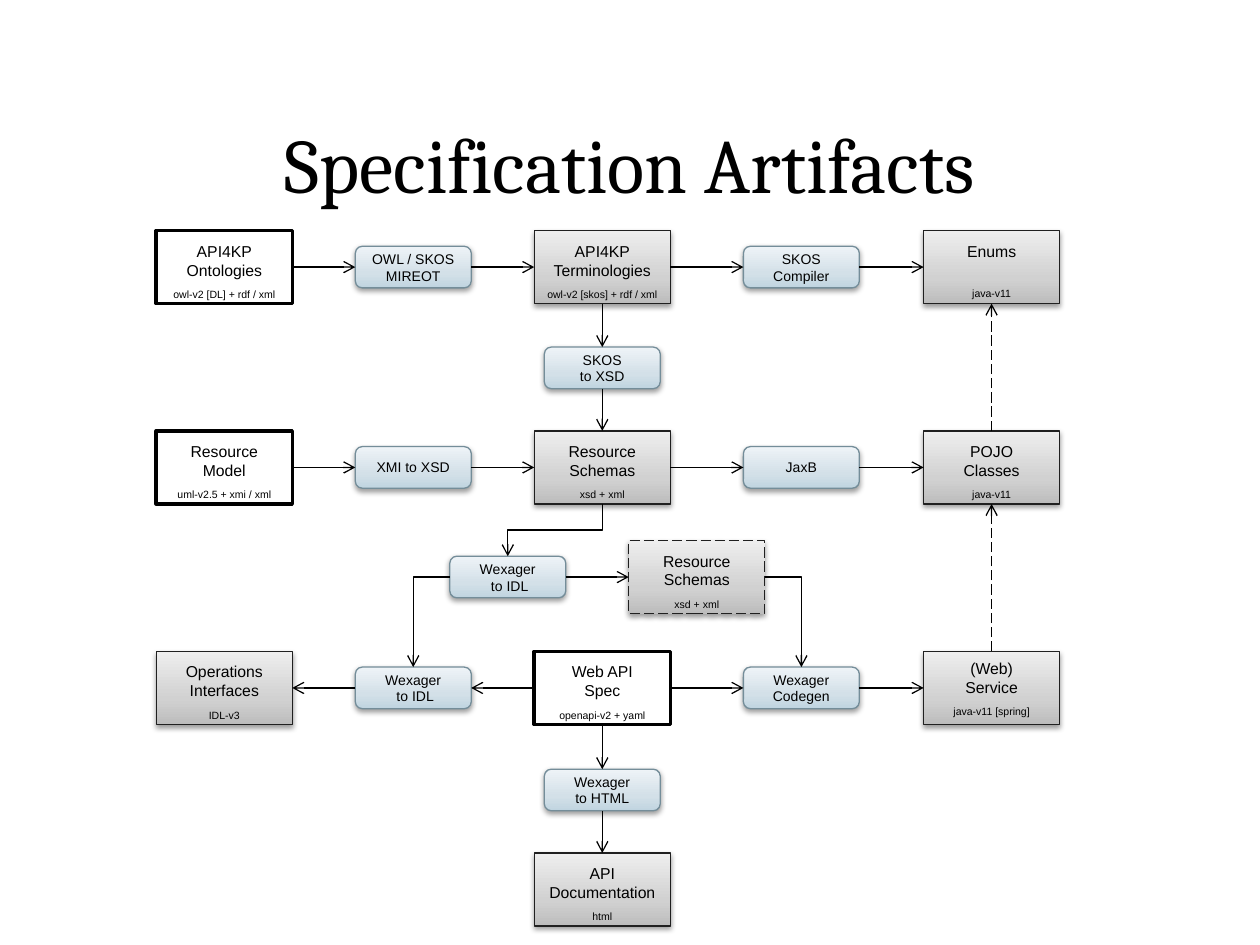
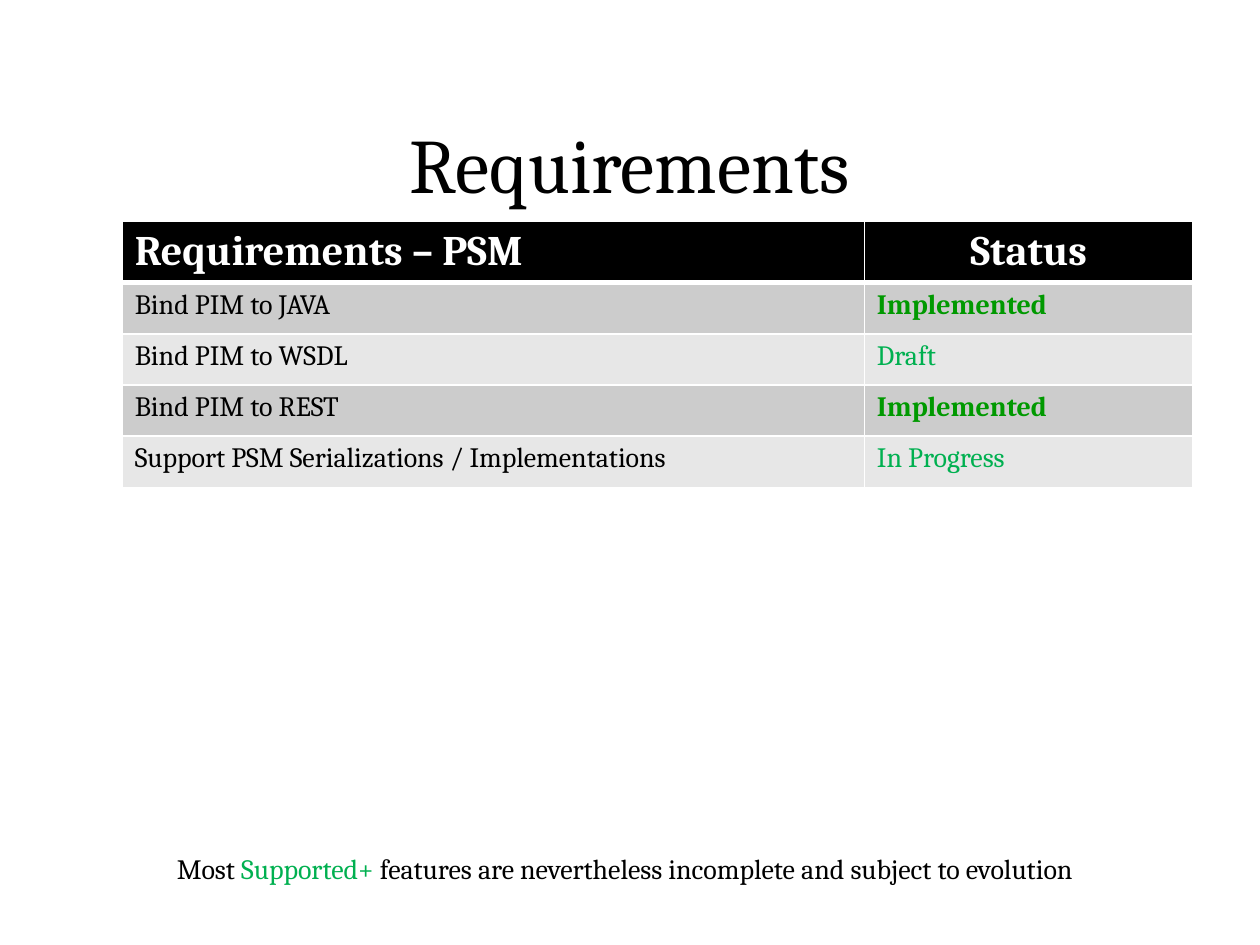
"""Build two slides: the artifact flow chart and the requirements table."""
from copy import deepcopy

from lxml import etree
from pptx import Presentation
from pptx.dml.color import RGBColor
from pptx.enum.dml import MSO_LINE
from pptx.enum.shapes import MSO_CONNECTOR, MSO_SHAPE
from pptx.enum.text import MSO_ANCHOR, PP_ALIGN
from pptx.oxml.ns import qn
from pptx.util import Inches, Pt

RECT, ROUND = MSO_SHAPE.RECTANGLE, MSO_SHAPE.ROUNDED_RECTANGLE
LINE, ELBOW = MSO_CONNECTOR.STRAIGHT, MSO_CONNECTOR.ELBOW
DASH = MSO_LINE.LONG_DASH
LEFT, CENTER = PP_ALIGN.LEFT, PP_ALIGN.CENTER
MIDDLE = MSO_ANCHOR.MIDDLE
TOP, WEST, BASE, EAST = range(4)

HEX = {
    "ink": "000000", "paper": "FFFFFF", "edge": "202020", "rim": "748D99",
    "odd": "CCCCCC", "even": "E7E7E7", "done": "009900", "open": "00B050",
}
GREY = ("BDBDBD", "D1D1D1", "EEEEEE")
BLUE = ("C0D4E0", "D3E0E8", "EEF3F7")
STOPS = (0, 0.35, 1)
SERIF, SANS = "Cambria", "Arial"
COLS = (1.78, 3.28, 4.03, 4.78, 5.53, 6.36, 7.87)
ROWS = (2.12, 2.92, 3.71, 4.58, 5.46, 6.27, 7.06)
BOX, STEP = (1.08, 0.58), (0.92, 0.33)

BOXES = {
    "onto": (0, 0, "source", "API4KP\vOntologies", "owl-v2 [DL] + rdf / xml"),
    "model": (0, 2, "source", "Resource\vModel", "uml-v2.5 + xmi / xml"),
    "terms": (3, 0, "made", "API4KP\vTerminologies", "owl-v2 [skos] + rdf / xml"),
    "schema": (3, 2, "made", "Resource\vSchemas", "xsd + xml"),
    "enums": (6, 0, "made", "Enums", "java-v11"),
    "pojo": (6, 2, "made", "POJO\vClasses", "java-v11"),
    "service": (6, 4, "made", "(Web)\vService", "java-v11 [spring]"),
    "web": (3, 4, "source", "Web API\vSpec", "openapi-v2 + yaml"),
    "ops": (0, 4, "made", "Operations\vInterfaces", "IDL-v3"),
    "copy": (4, 3, "dashed", "Resource\vSchemas", "xsd + xml"),
    "docs": (3, 6, "made", "API\vDocumentation", "html"),
}
STEPS = {
    "skos": (5, 0, "SKOS\vCompiler"),
    "jaxb": (5, 2, "JaxB"),
    "codegen": (5, 4, "Wexager\vCodegen"),
    "mireot": (1, 0, "OWL / SKOS\vMIREOT"),
    "xmi": (1, 2, "XMI to XSD"),
    "idl": (1, 4, "Wexager\v to IDL"),
    "split": (2, 3, "Wexager\v to IDL"),
    "xsd": (3, 1, "SKOS\vto XSD"),
    "html": (3, 5, "Wexager\vto HTML"),
}
CHAINS = (
    (EAST, WEST, "onto mireot terms skos enums"),
    (EAST, WEST, "model xmi schema jaxb pojo"),
    (EAST, WEST, "web codegen service"),
    (EAST, WEST, "split copy"),
    (WEST, EAST, "web idl ops"),
    (BASE, TOP, "terms xsd schema"),
    (BASE, TOP, "web html docs"),
)
TASKS = (
    ("Bind PIM to JAVA", "Implemented"),
    ("Bind PIM to WSDL", "Draft"),
    ("Bind PIM to REST", "Implemented"),
    ("Support PSM Serializations / Implementations", "In Progress"),
)


def rgb(name):
    """Turn a colour name or a hex string into a colour."""
    return RGBColor.from_string(HEX.get(name, name))


def style(font, size, face=SERIF, color="ink", bold=False):
    """Set all the traits of a font."""
    font.size, font.name, font.bold = Pt(size), face, bold
    font.color.rgb = rgb(color)


def add_slide(deck, title):
    """Add a slide with the shared title style."""
    page = deck.slides.add_slide(deck.slide_layouts[5])
    head = page.shapes.title
    head.left, head.top = Inches(0.75), Inches(0.67)
    head.width, head.height = Inches(8.5), Inches(1.25)
    head.text_frame.text = title
    head.text_frame.vertical_anchor = MIDDLE
    line = head.text_frame.paragraphs[0]
    line.alignment = CENTER
    style(line.font, 44)
    return page


def shade(shape, tones):
    """Fill a shape with a three-tone gradient and give it a soft shadow."""
    shape.fill.gradient()
    shape.fill.gradient_angle = 90
    props = shape._element.spPr
    stops = props.find(qn("a:gradFill")).find(qn("a:gsLst"))
    stops.insert(1, deepcopy(stops[0]))
    for stop, tone, place in zip(shape.fill.gradient_stops, tones, STOPS):
        stop.color.rgb = rgb(tone)
        stop.position = place
    cast = etree.SubElement(
        props.find(qn("a:effectLst")), qn("a:outerShdw"), blurRad="40000",
        dist="20000", dir="5400000", rotWithShape="0")
    tint = etree.SubElement(cast, qn("a:srgbClr"), val=HEX["ink"])
    etree.SubElement(tint, qn("a:alpha"), val="38000")


def add_node(page, form, col, row, size, edge, weight):
    """Add an outlined shape centred on a grid point."""
    wide, high = size
    node = page.shapes.add_shape(
        form, Inches(COLS[col] - wide / 2), Inches(ROWS[row] - high / 2),
        Inches(wide), Inches(high))
    node.shadow.inherit = False
    node.line.color.rgb = rgb(edge)
    node.line.width = Pt(weight)
    frame = node.text_frame
    frame.word_wrap, frame.vertical_anchor = True, MIDDLE
    frame.margin_left = frame.margin_right = 0
    frame.margin_top = frame.margin_bottom = 0
    return node


def write(line, text, size):
    """Write a centred sans line."""
    line.text, line.alignment = text, CENTER
    style(line.font, size, SANS)


def add_box(page, col, row, kind, label, note):
    """Add an artifact with its name and format."""
    plain = kind == "source"
    edge, weight = ("ink", 2) if plain else ("edge", 0.75)
    node = add_node(page, RECT, col, row, BOX, edge, weight)
    if plain:
        node.fill.solid()
        node.fill.fore_color.rgb = rgb("paper")
    else:
        shade(node, GREY)
    if kind == "dashed":
        node.line.dash_style = DASH
    frame = node.text_frame
    frame.margin_top = 0 if label.startswith("(") else Inches(0.06)
    write(frame.paragraphs[0], label, 9)
    foot = frame.add_paragraph()
    write(foot, note, 6)
    foot.space_before = Pt(5 if "\v" in label else 15)
    return node


def add_step(page, col, row, label):
    """Add a rounded tool step."""
    node = add_node(page, ROUND, col, row, STEP, "rim", 0.75)
    shade(node, BLUE)
    write(node.text_frame.paragraphs[0], label, 8)
    return node


def add_link(page, kind, ends=(0, 0, 0, 0), dash=None):
    """Add a thin line with an open arrowhead."""
    link = page.shapes.add_connector(kind, *ends)
    link.line.color.rgb = rgb("ink")
    link.line.width = Pt(0.75)
    if dash:
        link.line.dash_style = dash
    props = link._element.spPr
    etree.SubElement(props.find(qn("a:ln")), qn("a:tailEnd"), type="arrow")
    etree.SubElement(props, qn("a:effectLst"))
    return link


def join(page, start, out, end, into, dash=None):
    """Glue a straight arrow between two nodes."""
    link = add_link(page, LINE, dash=dash)
    link.begin_connect(start, out)
    link.end_connect(end, into)


def turn(page, start, out, end):
    """Draw an arrow that leaves sideways and turns down onto a node."""
    left = start.left + (start.width if out == EAST else 0)
    link = add_link(page, ELBOW, (left, start.top + start.height // 2,
                                  end.left + end.width // 2, end.top))
    link._element.spPr.find(qn("a:prstGeom")).set("prst", "bentConnector2")


def drop(page, start, end):
    """Draw an arrow that goes down, left and down again."""
    right, top = start.left + start.width // 2, start.top + start.height
    left, base = end.left + end.width // 2, end.top
    wide, high = base - top, right - left
    x, y = (left + right - wide) // 2, (top + base - high) // 2
    link = add_link(page, ELBOW, (x, y, x + wide, y + high))
    link._element.spPr.find(qn("a:xfrm")).set("rot", "5400000")


def draw_flow(page):
    """Draw all nodes and arrows of the flow chart."""
    nodes = {key: add_box(page, *data) for key, data in BOXES.items()}
    nodes.update({key: add_step(page, *data) for key, data in STEPS.items()})
    for out, into, chain in CHAINS:
        keys = chain.split()
        for one, two in zip(keys, keys[1:]):
            join(page, nodes[one], out, nodes[two], into)
    for one, two in (("pojo", "enums"), ("service", "pojo")):
        join(page, nodes[one], TOP, nodes[two], BASE, DASH)
    drop(page, nodes["schema"], nodes["split"])
    turn(page, nodes["split"], WEST, nodes["idl"])
    turn(page, nodes["copy"], EAST, nodes["codegen"])


def fill_cell(cell, text, back, size, color, bold, align=LEFT):
    """Write and paint one table cell."""
    cell.fill.solid()
    cell.fill.fore_color.rgb = rgb(back)
    cell.text = text
    line = cell.text_frame.paragraphs[0]
    line.alignment = align
    style(line.font, size, color=color, bold=bold)


def add_grid(page):
    """Add the table of requirements and their status."""
    area = Inches(0.97), Inches(1.76), Inches(8.5), Inches(2.03)
    grid = page.shapes.add_table(len(TASKS) + 1, 2, *area).table
    grid.columns[0].width, grid.columns[1].width = Inches(5.89), Inches(2.61)
    fill_cell(grid.cell(0, 0), "Requirements – PSM", "ink", 24, "paper", True)
    fill_cell(grid.cell(0, 1), "Status", "ink", 24, "paper", True, CENTER)
    for cell in grid.rows[0].cells:
        rule = etree.Element(qn("a:lnB"), w="38100")
        fill = etree.SubElement(rule, qn("a:solidFill"))
        etree.SubElement(fill, qn("a:srgbClr"), val=HEX["paper"])
        cell._tc.get_or_add_tcPr().insert(0, rule)
    for row, (task, state) in enumerate(TASKS, 1):
        back = "odd" if row % 2 else "even"
        done = state == "Implemented"
        tone = "done" if done else "open"
        fill_cell(grid.cell(row, 0), task, back, 16, "ink", False)
        fill_cell(grid.cell(row, 1), state, back, 16, tone, done)


def add_note(page):
    """Add the closing remark with its coloured word."""
    area = Inches(0.97), Inches(6.71), Inches(7.98), Inches(0.37)
    frame = page.shapes.add_textbox(*area).text_frame
    frame.word_wrap = True
    line = frame.paragraphs[0]
    line.alignment = CENTER
    rest = " features are nevertheless incomplete and subject to evolution"
    for text, tone in (("Most ", "ink"), ("Supported+", "open"), (rest, "ink")):
        run = line.add_run()
        run.text = text
        style(run.font, 16, color=tone)


def main():
    """Build and save the deck."""
    deck = Presentation()
    deck.slide_width, deck.slide_height = Inches(10), Inches(7.5)
    draw_flow(add_slide(deck, "Specification Artifacts"))
    page = add_slide(deck, "Requirements")
    add_grid(page)
    add_note(page)
    deck.save("out.pptx")


main()
